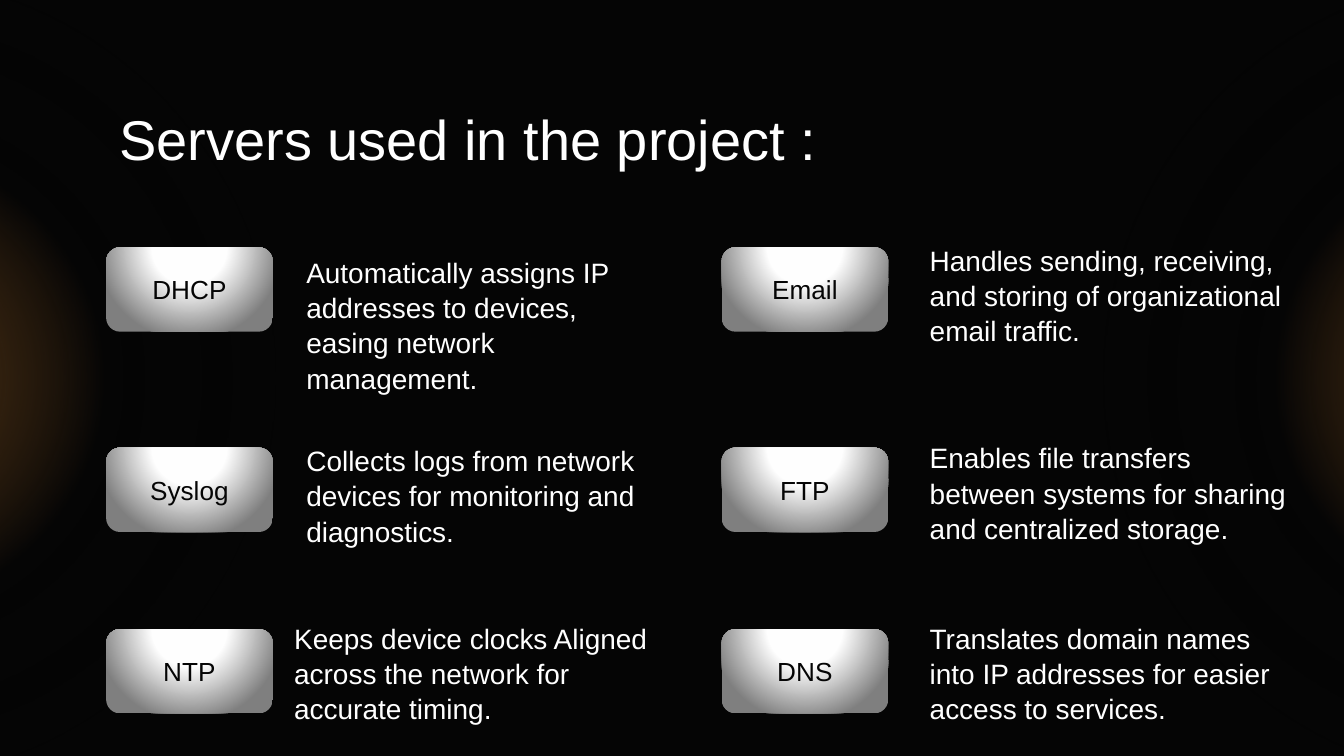
from dataclasses import dataclass, field
from typing import Any

from lxml.etree import SubElement
from pptx import Presentation
from pptx.dml.color import RGBColor
from pptx.enum.shapes import MSO_SHAPE
from pptx.enum.text import MSO_ANCHOR, MSO_AUTO_SIZE, PP_ALIGN
from pptx.oxml.ns import qn
from pptx.util import Pt


@dataclass(frozen=True)
class Stop:
    position: int
    color: str
    opacity: int = 100


@dataclass(frozen=True)
class Theme:
    font: str = "Arial"
    dark: str = "050505"
    light: str = "FFFFFF"
    title_size: float = 30
    badge_size: float = 14
    body_size: float = 15
    glow: tuple[Stop, ...] = (
        Stop(0, "E69138", 27), Stop(41, "050505", 54),
        Stop(78, "050505", 0), Stop(100, "050505", 0),
    )
    metal: tuple[Stop, ...] = (
        Stop(0, "FFFFFF"), Stop(40, "FEFEFE"), Stop(100, "7F7F7F"),
    )


@dataclass(frozen=True)
class Area:
    left: float
    top: float
    width: float
    height: float

    def lengths(self) -> list[int]:
        return [Pt(value) for value in (self.left, self.top, self.width, self.height)]


@dataclass(frozen=True)
class Server:
    name: str
    column: int
    row: int
    description: str
    text_area: Area


@dataclass(frozen=True)
class TextStyle:
    size: float
    color: str
    frame: dict[str, Any] = field(default_factory=dict)
    para: dict[str, Any] = field(default_factory=dict)


THEME = Theme()

TITLE_STYLE = TextStyle(
    THEME.title_size, THEME.light,
    {"margin_left": Pt(7.2), "margin_right": Pt(7.2),
     "margin_top": Pt(15.2), "margin_bottom": Pt(7.2)},
    {"alignment": PP_ALIGN.JUSTIFY, "line_spacing": 1.15},
)
BADGE_STYLE = TextStyle(
    THEME.badge_size, THEME.dark,
    {"vertical_anchor": MSO_ANCHOR.MIDDLE}, {"alignment": PP_ALIGN.CENTER},
)
BODY_STYLE = TextStyle(
    THEME.body_size, THEME.light,
    {"auto_size": MSO_AUTO_SIZE.SHAPE_TO_FIT_TEXT},
    {"alignment": PP_ALIGN.LEFT, "line_spacing": 1.05},
)

GLOW_SIZE = 431.3
GLOW_TOP = -13
GLOW_LEFTS = (-283.7, 591.1)
BADGE_LEFTS = (56.9, 386.6)
BADGE_TOPS = (132.5, 239.8, 337)
BADGE_WIDTH, BADGE_HEIGHT = 89.3, 45.2
BODY_HEIGHT = 61.9

SERVERS = (
    Server("DHCP", 0, 0,
           "Automatically assigns IP addresses to devices, easing network management.",
           Area(157, 132.5, 203, BODY_HEIGHT)),
    Server("Email", 1, 0,
           "Handles sending, receiving, and storing of organizational email traffic.",
           Area(491, 126, 208, BODY_HEIGHT)),
    Server("Syslog", 0, 1,
           "Collects logs from network devices for monitoring and diagnostics.",
           Area(157, 233.3, 203, BODY_HEIGHT)),
    Server("FTP", 1, 1,
           "Enables file transfers between systems for sharing and centralized storage.",
           Area(491, 231.8, 206, BODY_HEIGHT)),
    Server("NTP", 0, 2,
           "Keeps device clocks Aligned across the network for accurate timing.",
           Area(150.5, 328.3, 209.5, BODY_HEIGHT)),
    Server("DNS", 1, 2,
           "Translates domain names into IP addresses for easier access to services.",
           Area(491, 328.3, 208, BODY_HEIGHT)),
)


def apply_format(target: Any, values: dict[str, Any]) -> None:
    for name, value in values.items():
        setattr(target, name, value)


def write_text(shape: Any, text: str, style: TextStyle) -> None:
    frame = shape.text_frame
    apply_format(frame, {"word_wrap": True, **style.frame})
    para = frame.paragraphs[0]
    apply_format(para, style.para)
    span = para.add_run()
    span.text = text
    apply_format(span.font, {"name": THEME.font, "size": Pt(style.size)})
    span.font.color.rgb = RGBColor.from_string(style.color)


def fill_radial(shape: Any, stops: tuple[Stop, ...], focus: dict[str, int]) -> None:
    """Fill with a circular gradient; focus gives edge insets in percent."""
    shape.fill.gradient()
    gradient = shape.element.spPr.find(qn("a:gradFill"))
    for child in list(gradient):
        gradient.remove(child)
    stop_list = SubElement(gradient, qn("a:gsLst"))
    for stop in stops:
        node = SubElement(stop_list, qn("a:gs"), pos=str(stop.position * 1000))
        color = SubElement(node, qn("a:srgbClr"), val=stop.color)
        if stop.opacity < 100:
            SubElement(color, qn("a:alpha"), val=str(stop.opacity * 1000))
    circle = SubElement(gradient, qn("a:path"), {"path": "circle"})
    SubElement(circle, qn("a:fillToRect"),
               {side: str(inset * 1000) for side, inset in focus.items()})


def add_radial_shape(page: Any, kind: MSO_SHAPE, area: Area,
                     stops: tuple[Stop, ...], focus: dict[str, int]) -> Any:
    shape = page.shapes.add_shape(kind, *area.lengths())
    shape.shadow.inherit = False
    shape.line.fill.background()
    fill_radial(shape, stops, focus)
    return shape


def add_glow(page: Any, left: float) -> None:
    add_radial_shape(page, MSO_SHAPE.OVAL, Area(left, GLOW_TOP, GLOW_SIZE, GLOW_SIZE),
                     THEME.glow, {"l": 50, "t": 50, "r": 50, "b": 50})


def add_badge(page: Any, server: Server) -> None:
    area = Area(BADGE_LEFTS[server.column], BADGE_TOPS[server.row],
                BADGE_WIDTH, BADGE_HEIGHT)
    badge = add_radial_shape(page, MSO_SHAPE.FLOWCHART_ALTERNATE_PROCESS, area,
                             THEME.metal, {"l": 50, "t": -80, "r": 50, "b": 180})
    write_text(badge, server.name, BADGE_STYLE)


def add_text(page: Any, text: str, area: Area, style: TextStyle) -> None:
    box = page.shapes.add_textbox(*area.lengths())
    write_text(box, text, style)


def main() -> None:
    deck = Presentation()
    apply_format(deck, {"slide_width": Pt(720), "slide_height": Pt(405)})
    page = deck.slides.add_slide(deck.slide_layouts[6])

    # Background and side glows
    page.background.fill.solid()
    page.background.fill.fore_color.rgb = RGBColor.from_string(THEME.dark)
    for left in GLOW_LEFTS:
        add_glow(page, left)

    # Title
    add_text(page, "Servers used in the project :",
             Area(56.9, 35.3, 607, 45.4), TITLE_STYLE)

    # Server badges and descriptions
    for server in SERVERS:
        add_badge(page, server)
        add_text(page, server.description, server.text_area, BODY_STYLE)

    deck.save("out.pptx")


if __name__ == "__main__":
    main()
